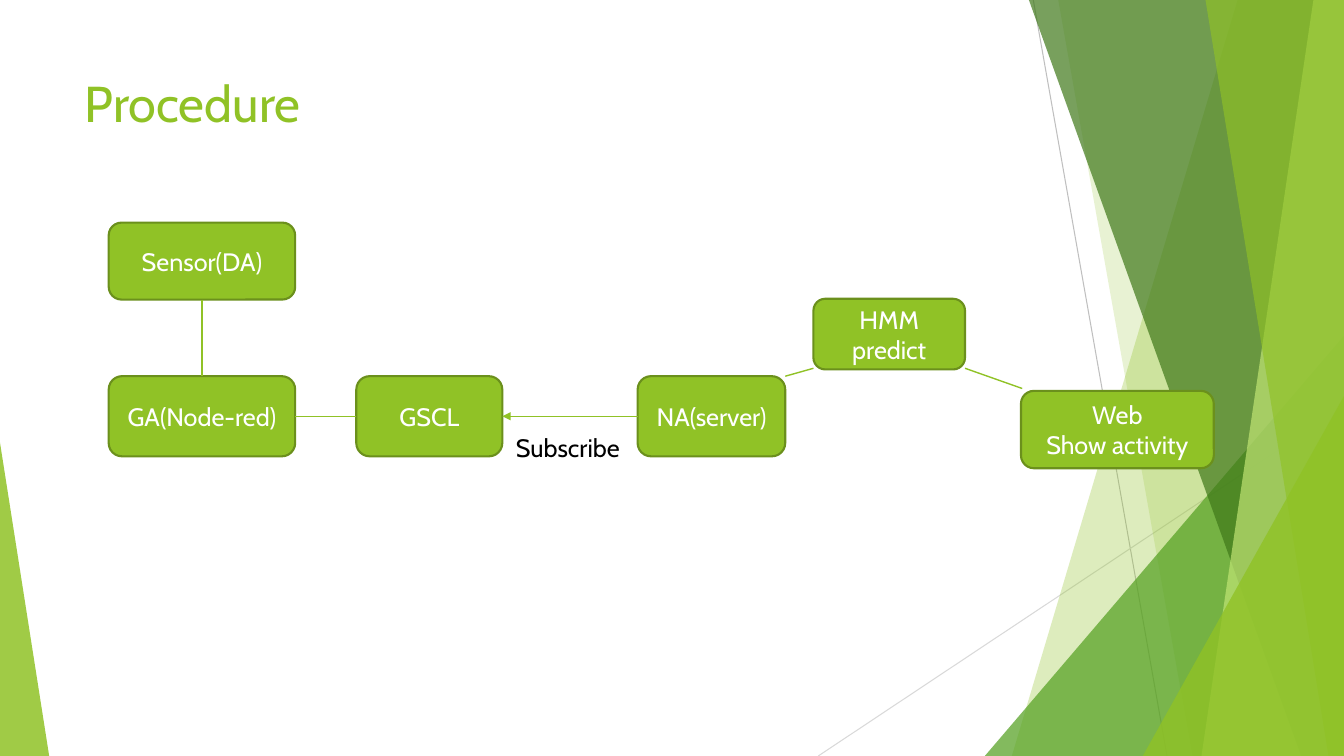
from dataclasses import dataclass

from lxml.etree import SubElement
from pptx import Presentation
from pptx.dml.color import RGBColor
from pptx.enum.shapes import MSO_CONNECTOR, MSO_SHAPE
from pptx.enum.text import MSO_ANCHOR, MSO_AUTO_SIZE, PP_ALIGN
from pptx.oxml.ns import qn
from pptx.shapes.autoshape import Shape
from pptx.shapes.connector import Connector
from pptx.slide import Slide
from pptx.util import Cm, Pt

FONT = "Cabin"
LIME = RGBColor(0x90, 0xC2, 0x26)
OLIVE = RGBColor(0x6B, 0x90, 0x1C)
GREEN = RGBColor(0x54, 0xA0, 0x21)
FOREST = RGBColor(0x3F, 0x78, 0x19)
PALE_LIME = RGBColor(0xC0, 0xE4, 0x74)
GREY = RGBColor(0xBF, 0xBF, 0xBF)
LIGHT_GREY = RGBColor(0xD9, 0xD9, 0xD9)
WHITE = RGBColor(0xFF, 0xFF, 0xFF)
BLACK = RGBColor(0x00, 0x00, 0x00)
SLIDE_WIDTH, SLIDE_HEIGHT = 33.87, 19.05
TOP, LEFT, BOTTOM, RIGHT = range(4)


@dataclass(frozen=True)
class Band:
    top_left: float
    bottom_left: float
    color: RGBColor
    opacity: int


@dataclass(frozen=True)
class Wedge:
    left: float
    top: float
    width: float
    apex: int
    color: RGBColor
    opacity: int


@dataclass(frozen=True)
class Step:
    label: str
    left: float
    top: float
    width: float
    height: float


@dataclass(frozen=True)
class Line:
    x1: float
    y1: float
    x2: float
    y2: float
    color: RGBColor = LIME
    weight: float = 1


@dataclass(frozen=True)
class Link:
    start: str
    start_side: int
    end: str
    end_side: int
    arrow: bool = False


FACET_LINES = [
    Line(26.04, 0, 29.41, SLIDE_HEIGHT, GREY, 0.75),
    Line(SLIDE_WIDTH, 10.24, 20.62, SLIDE_HEIGHT, LIGHT_GREY, 0.75),
]
FACETS = [
    Band(31.19, 25.5, LIME, 30),
    Band(26.67, 30.05, LIME, 20),
    Wedge(24.82, 8.46, 9.05, 1, GREEN, 72),
    Band(25.93, 32.79, FOREST, 70),
    Band(33.1, 30.28, PALE_LIME, 70),
    Band(30.38, 33.48, LIME, 65),
    Wedge(28.8, 9.98, 5.07, 1, LIME, 80),
    Wedge(0, 11.15, 1.24, 0, LIME, 85),
]
STEPS = [
    Step("Sensor(DA)", 2.74, 5.61, 4.7, 1.94),
    Step("GA(Node-red)", 2.74, 9.48, 4.7, 2.02),
    Step("GSCL", 8.98, 9.48, 3.68, 2.02),
    Step("NA(server)", 16.07, 9.48, 3.72, 2.02),
    Step("HMM predict", 20.5, 7.53, 3.82, 1.78),
    Step("Web\nShow activity", 25.73, 9.85, 4.86, 1.95),
]
LINKS = [
    Link("Sensor(DA)", BOTTOM, "GA(Node-red)", TOP),
    Link("GSCL", LEFT, "GA(Node-red)", RIGHT),
    Link("NA(server)", LEFT, "GSCL", RIGHT, arrow=True),
]
CORNER_LINES = [
    Line(20.5, 9.28, 19.79, 9.48),
    Line(25.76, 9.79, 24.32, 9.28),
]


def write(shape: Shape, text: str, size: float, color: RGBColor, align: PP_ALIGN) -> None:
    shape.text_frame.text = text
    for paragraph in shape.text_frame.paragraphs:
        paragraph.alignment = align
        paragraph.font.name = FONT
        paragraph.font.size = Pt(size)
        paragraph.font.color.rgb = color


def draw_line(slide: Slide, line: Line) -> Connector:
    connector = slide.shapes.add_connector(
        MSO_CONNECTOR.STRAIGHT, Cm(line.x1), Cm(line.y1), Cm(line.x2), Cm(line.y2)
    )
    connector.line.color.rgb = line.color
    connector.line.width = Pt(line.weight)
    SubElement(connector._element.spPr, qn("a:effectLst"))
    return connector


def draw_facet(slide: Slide, facet: Band | Wedge) -> None:
    if isinstance(facet, Band):
        outline = slide.shapes.build_freeform(Cm(facet.top_left), 0)
        outline.add_line_segments([
            (Cm(SLIDE_WIDTH), 0),
            (Cm(SLIDE_WIDTH), Cm(SLIDE_HEIGHT)),
            (Cm(facet.bottom_left), Cm(SLIDE_HEIGHT)),
        ])
        shape = outline.convert_to_shape()
    else:
        shape = slide.shapes.add_shape(
            MSO_SHAPE.ISOSCELES_TRIANGLE, Cm(facet.left), Cm(facet.top),
            Cm(facet.width), Cm(SLIDE_HEIGHT - facet.top),
        )
        shape.adjustments[0] = facet.apex
    shape.shadow.inherit = False
    shape.line.fill.background()
    shape.fill.solid()
    shape.fill.fore_color.rgb = facet.color
    tint = shape._element.spPr.find(qn("a:solidFill")).find(qn("a:srgbClr"))
    SubElement(tint, qn("a:alpha"), val=str(facet.opacity * 1000))


def draw_step(slide: Slide, step: Step) -> Shape:
    box = slide.shapes.add_shape(
        MSO_SHAPE.ROUNDED_RECTANGLE, Cm(step.left), Cm(step.top), Cm(step.width), Cm(step.height)
    )
    box.shadow.inherit = False
    box.fill.solid()
    box.fill.fore_color.rgb = LIME
    box.line.color.rgb = OLIVE
    box.line.width = Pt(1.5)
    box.text_frame.vertical_anchor = MSO_ANCHOR.MIDDLE
    write(box, step.label, 18, WHITE, PP_ALIGN.CENTER)
    return box


def draw_link(slide: Slide, link: Link, boxes: dict[str, Shape]) -> None:
    connector = draw_line(slide, Line(0, 0, 1, 1))
    connector.begin_connect(boxes[link.start], link.start_side)
    connector.end_connect(boxes[link.end], link.end_side)
    if link.arrow:
        SubElement(connector.line._get_or_add_ln(), qn("a:tailEnd"), type="triangle")


def main() -> None:
    presentation = Presentation()
    presentation.slide_width = Cm(SLIDE_WIDTH)
    presentation.slide_height = Cm(SLIDE_HEIGHT)
    slide = presentation.slides.add_slide(presentation.slide_layouts[5])

    for line in FACET_LINES:
        draw_line(slide, line)
    for facet in FACETS:
        draw_facet(slide, facet)

    title = slide.shapes.title
    title.left, title.top, title.width, title.height = Cm(1.88), Cm(1.7), Cm(23.88), Cm(3.66)
    title.text_frame.vertical_anchor = MSO_ANCHOR.TOP
    write(title, "Procedure", 36, LIME, PP_ALIGN.LEFT)

    boxes = {step.label: draw_step(slide, step) for step in STEPS}
    for link in LINKS:
        draw_link(slide, link, boxes)
    for line in CORNER_LINES:
        draw_line(slide, line)

    subscribe = slide.shapes.add_textbox(Cm(12.75), Cm(10.77), Cm(3.25), Cm(1.02))
    subscribe.text_frame.word_wrap = False
    subscribe.text_frame.auto_size = MSO_AUTO_SIZE.SHAPE_TO_FIT_TEXT
    write(subscribe, "Subscribe", 18, BLACK, PP_ALIGN.LEFT)

    presentation.save("out.pptx")


if __name__ == "__main__":
    main()
